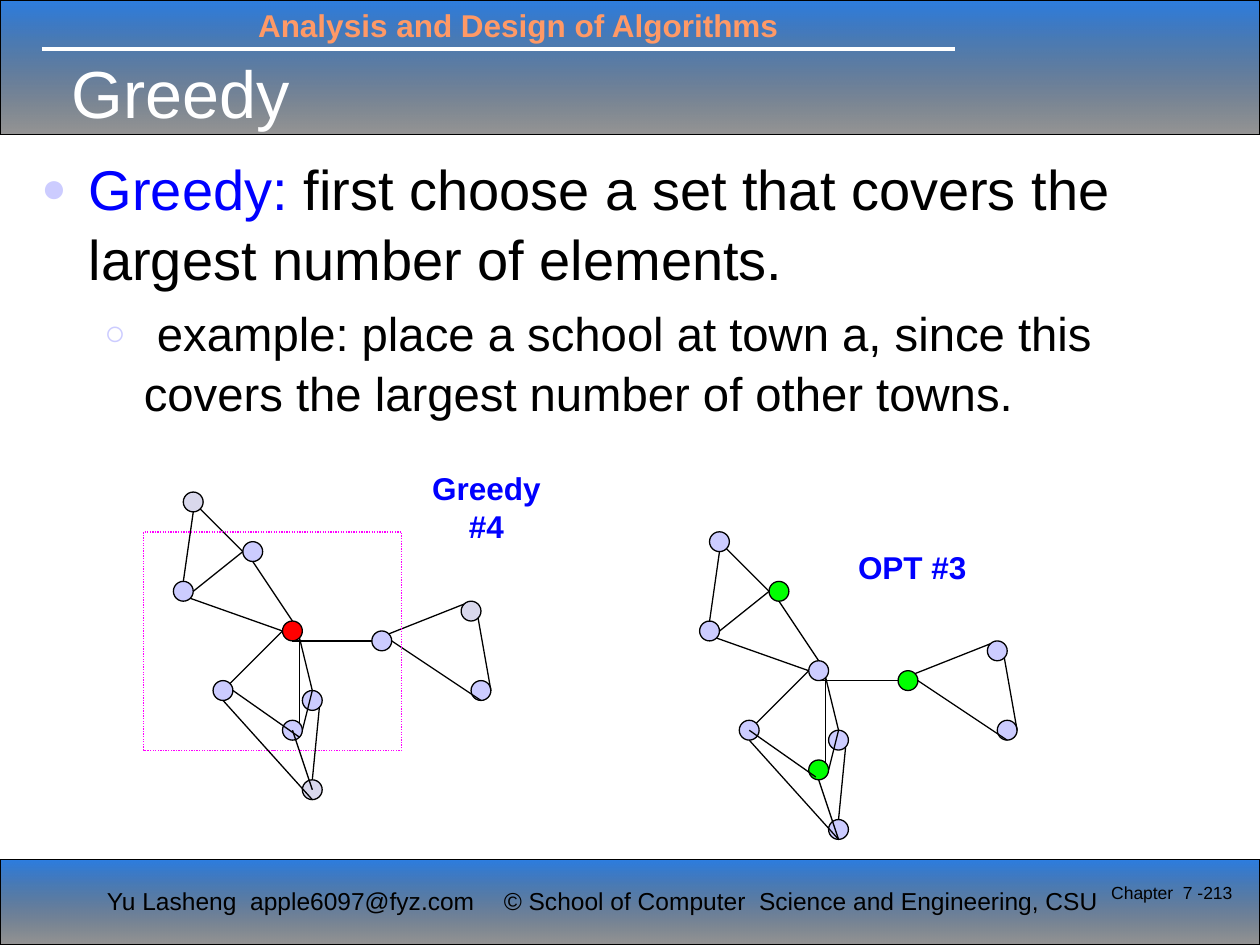
import pptx
import pptx.dml.color
import pptx.enum.dml
import pptx.enum.shapes
import pptx.enum.text
import pptx.util
from lxml import etree
from pptx.oxml.ns import qn

Pt = pptx.util.Pt
RGB = pptx.dml.color.RGBColor
Shape = pptx.enum.shapes.MSO_SHAPE
Align = pptx.enum.text.PP_ALIGN
Anchor = pptx.enum.text.MSO_ANCHOR

BLACK = RGB(0x00, 0x00, 0x00)
WHITE = RGB(0xFF, 0xFF, 0xFF)
SKY = RGB(0x0E, 0x6B, 0xDC)
ORANGE = RGB(0xFF, 0x99, 0x66)
BLUE = RGB(0x00, 0x00, 0xFF)
LILAC = RGB(0xCC, 0xCC, 0xFF)
GREY = RGB(0xD9, 0xD8, 0xEC)
RED = RGB(0xFF, 0x00, 0x00)
GREEN = RGB(0x00, 0xFF, 0x00)
PINK = RGB(0xFF, 0x00, 0xFF)

UNIT = 5.67  # grid step of the graphs, equal to a town's radius
TOWNS = {
    "a": (11, 13), "b": (1, 0), "c": (0, 9), "d": (7, 5),
    "e": (20, 14), "f": (29, 11), "g": (4, 19), "h": (13, 20),
    "i": (11, 23), "j": (13, 29), "k": (30, 19),
}
DIAG = 0.71
SIDES = {
    "N": (0, -1), "S": (0, 1), "W": (-1, 0), "E": (1, 0), "M": (0, 0),
    "NW": (-DIAG, -DIAG), "NE": (DIAG, -DIAG),
    "SW": (-DIAG, DIAG), "SE": (DIAG, DIAG),
}
ROADS = [
    "b SE d W", "b S c N", "c E d W", "c SE a W", "d S a N", "g NE a W",
    "a SE i NE", "a SE h N", "h N i E", "g E i SE", "h SE j N",
    "g S j S", "a S e W", "e NE f NW", "e E k S", "k E f SE", "i M j M",
]


class Deck:
    font = "Arial"
    thin = 0.75

    def __init__(self, wide, high):
        self.prs = pptx.Presentation()
        self.prs.slide_width, self.prs.slide_height = Pt(wide), Pt(high)
        self.slide = self.prs.slides.add_slide(self.prs.slide_layouts[6])

    def shape(self, kind, box, fill=None, line=BLACK):
        item = self.slide.shapes.add_shape(kind, *map(Pt, box))
        item.shadow.inherit = False
        if fill is None:
            item.fill.background()
        else:
            item.fill.solid()
            item.fill.fore_color.rgb = fill
        item.line.color.rgb = line
        item.line.width = Pt(self.thin)
        return item

    def band(self, top, high):
        """Draw a full-width bar that fades from blue to black."""
        bar = self.shape(Shape.RECTANGLE, (0, top, 720, high))
        bar.fill.gradient()
        bar.fill.gradient_angle = 270
        looks = ((SKY, 88), (BLACK, 41))
        for stop, (color, share) in zip(bar.fill.gradient_stops, looks):
            stop.color.rgb = color
        marks = bar._element.spPr.find(qn("a:gradFill")).iter(qn("a:srgbClr"))
        for mark, (color, share) in zip(list(marks), looks):
            etree.SubElement(mark, qn("a:alpha"), val=str(share * 1000))

    def line(self, start, end, color=BLACK, width=thin):
        item = self.slide.shapes.add_connector(
            pptx.enum.shapes.MSO_CONNECTOR.STRAIGHT, *map(Pt, (*start, *end)))
        item.line.color.rgb = color
        item.line.width = Pt(width)
        etree.SubElement(item._element.spPr, qn("a:effectLst"))

    def style(self, run, size, color, bold=False):
        run.font.name = self.font
        run.font.size = Pt(size)
        run.font.color.rgb = color
        run.font.bold = bold

    def frame(self, box, wrap=True, anchor=Anchor.TOP):
        frame = self.slide.shapes.add_textbox(*map(Pt, box)).text_frame
        frame.word_wrap = wrap
        frame.vertical_anchor = anchor
        return frame

    def text(self, words, box, size, color=BLACK, bold=False,
             align=Align.LEFT, wrap=True, anchor=Anchor.TOP):
        frame = self.frame(box, wrap, anchor)
        frame.text = words
        para = frame.paragraphs[0]
        para.alignment = align
        self.style(para.runs[0], size, color, bold)

    def label(self, words, left, top):
        self.text(words, (left, top, 85, 39.6), 18, BLUE, True,
                  Align.CENTER, False, Anchor.MIDDLE)

    def point(self, para, mark, parts, size, left, hang):
        """Fill a paragraph with coloured parts behind a hanging bullet."""
        for words, color in parts:
            run = para.add_run()
            run.text = words
            self.style(run, size, color)
        para.space_before = Pt(size * 0.2)
        para.line_spacing = 1.05
        props = para._p.get_or_add_pPr()
        props.set("marL", str(Pt(left)))
        props.set("indent", str(-Pt(hang)))
        tint = etree.SubElement(props, qn("a:buClr"))
        etree.SubElement(tint, qn("a:srgbClr"), val=str(LILAC))
        etree.SubElement(props, qn("a:buSzPct"), val="75000")
        etree.SubElement(props, qn("a:buFont"), typeface=self.font)
        etree.SubElement(props, qn("a:buChar"), char=mark)

    def graph(self, left, top, fills, moves):
        """Draw towns and roads; moves holds road shifts in grid steps."""
        for name, (col, row) in TOWNS.items():
            box = (left + col * UNIT, top + row * UNIT, 2 * UNIT, 2 * UNIT)
            self.shape(Shape.OVAL, box, fills.get(name, LILAC))

        def spot(name, side, move):
            (col, row), (dx, dy) = TOWNS[name], SIDES[side]
            return (left + (col + 1 + dx + move[0]) * UNIT,
                    top + (row + 1 + dy + move[1]) * UNIT)

        for road in ROADS:
            one, out, two, into = road.split()
            move = moves.get(one + two, (0, 0))
            self.line(spot(one, out, move), spot(two, into, move))


def main():
    deck = Deck(720, 540)
    deck.band(0, 77)
    deck.band(491, 49)
    deck.line((24, 28), (546, 28), WHITE, 2.25)
    deck.text("Analysis and Design of Algorithms", (140.4, 0, 360, 28.8),
              18, ORANGE, True)
    deck.text("Yu Lasheng  apple6097@fyz.com", (54, 502.6, 231, 24.5), 14,
              wrap=False)
    deck.text("© School of Computer  Science and Engineering, CSU",
              (280.8, 502.6, 368.6, 24.5), 14, wrap=False)
    deck.text("Greedy", (33.8, 28, 562.3, 49), 38, WHITE,
              anchor=Anchor.MIDDLE)

    body = deck.frame((16.6, 82.8, 680.4, 399.6))
    deck.point(body.paragraphs[0], "●", [
        ("Greedy:", BLUE),
        (" first choose a set that covers the largest number of elements.",
         BLACK)], 32, 27, 27)
    para = body.add_paragraph()
    para.level = 1
    deck.point(para, "○", [
        (" example: place a school at town a, since this covers the largest"
         " number of other towns.", BLACK)], 27, 58.5, 22.5)

    deck.graph(99.1, 281.2, {"a": RED, "b": GREY, "f": GREY, "j": GREY}, {})
    deck.shape(Shape.RECTANGLE, (82, 304, 147.5, 124.7), line=PINK
               ).line.dash_style = pptx.enum.dml.MSO_LINE.ROUND_DOT
    deck.label("Greedy #4", 235.4, 270)
    deck.graph(399.8, 303.9, dict.fromkeys("dei", GREEN),
               {"gi": (-1, 0), "ij": (0, 1)})
    deck.label("OPT #3", 478.8, 303.9)
    deck.text("Chapter  7 -213", (620.6, 500.4, 90.7, 36), 10,
              align=Align.RIGHT)
    deck.prs.save("out.pptx")


if __name__ == "__main__":
    main()
